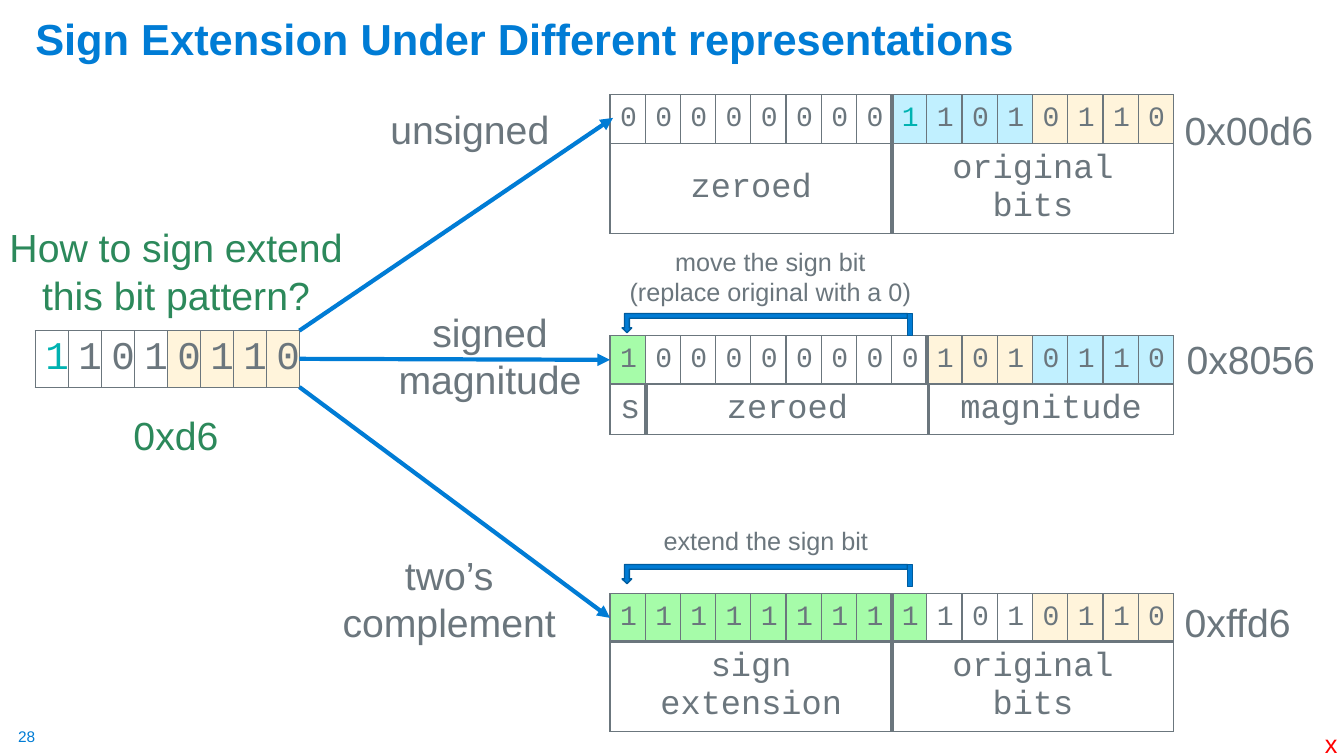
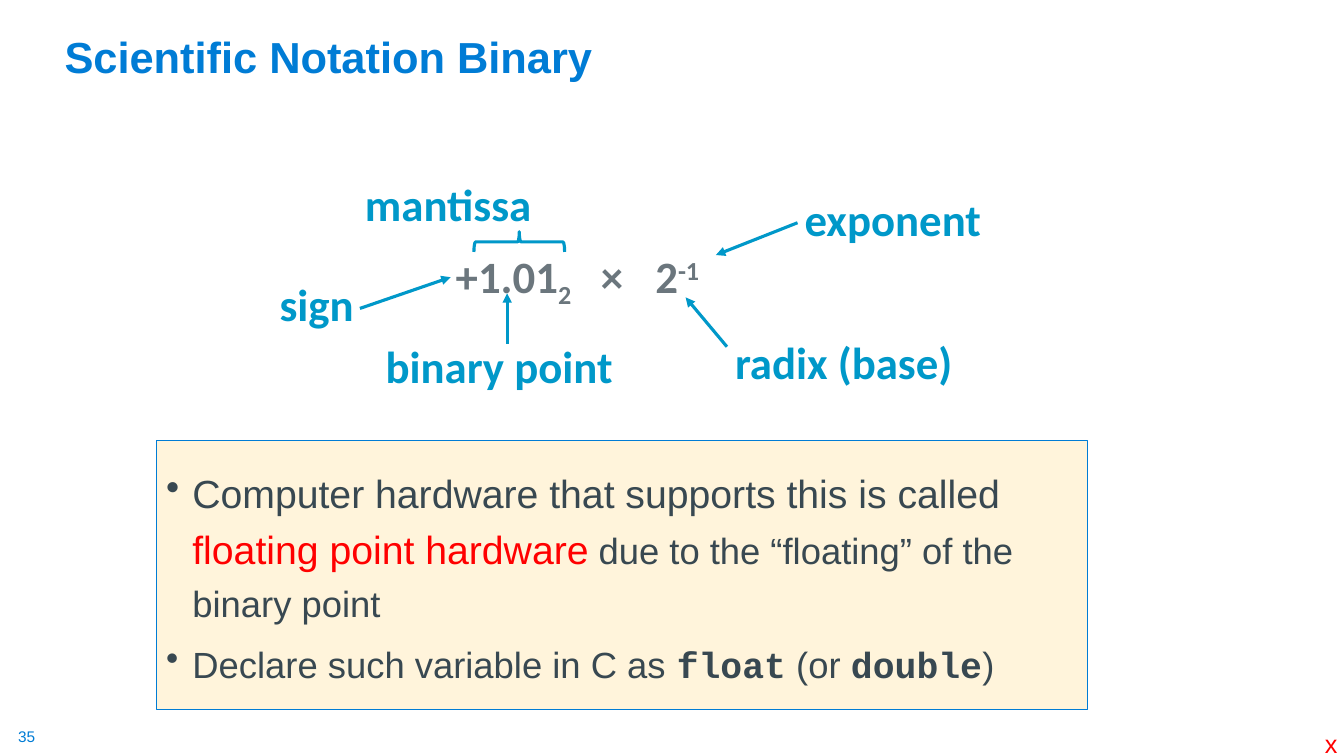
from lxml import etree
from pptx import Presentation
from pptx.dml.color import RGBColor
from pptx.enum.shapes import MSO_CONNECTOR, MSO_SHAPE
from pptx.enum.text import MSO_ANCHOR, MSO_AUTO_SIZE, PP_ALIGN
from pptx.oxml.ns import qn
from pptx.util import Inches, Pt

LEFT, CENTER, RIGHT = PP_ALIGN.LEFT, PP_ALIGN.CENTER, PP_ALIGN.RIGHT
TOP, MIDDLE, BOTTOM = MSO_ANCHOR.TOP, MSO_ANCHOR.MIDDLE, MSO_ANCHOR.BOTTOM
NO_AUTOFIT, GROW = MSO_AUTO_SIZE.NONE, MSO_AUTO_SIZE.SHAPE_TO_FIT_TEXT
RECTANGLE, LEFT_BRACE = MSO_SHAPE.RECTANGLE, MSO_SHAPE.LEFT_BRACE
BENT_ARROW = MSO_SHAPE.BENT_UP_ARROW
STRAIGHT = MSO_CONNECTOR.STRAIGHT

BLUE = RGBColor(0x00, 0x7C, 0xD5)
DARK_BLUE = RGBColor(0x00, 0x5C, 0x9E)
CYAN = RGBColor(0x00, 0x98, 0xC9)
TEAL = RGBColor(0x00, 0xB2, 0xB1)
GRAY = RGBColor(0x6B, 0x76, 0x7D)
SLATE = RGBColor(0x38, 0x48, 0x51)
GREEN = RGBColor(0x2C, 0x89, 0x5B)
RED = RGBColor(0xFF, 0x00, 0x00)
CREAM = RGBColor(0xFF, 0xF4, 0xDB)
PALE_BLUE = RGBColor(0xC1, 0xF0, 0xFF)
PALE_GREEN = RGBColor(0xA6, 0xFC, 0xA9)
MONO = "Courier New"


def write(paragraph, text, size=28, color=GRAY, font="Arial", bold=False, baseline=0):
    """Add one formatted run to a paragraph."""
    run = paragraph.add_run()
    run.text = text
    run.font.size = Pt(size)
    run.font.name = font
    run.font.bold = bold
    run.font.color.rgb = color
    if baseline:
        run.font._element.set("baseline", str(baseline * 1000))


def add_label(slide, box, text, align=LEFT, insets=(0.1, 0.05), wrap=False,
              spacing=1.0, **style):
    """Add a text box with one paragraph per line of text."""
    shape = slide.shapes.add_textbox(*map(Inches, box))
    frame = shape.text_frame
    frame.word_wrap = wrap
    frame.auto_size = GROW
    frame.margin_left = frame.margin_right = Inches(insets[0])
    frame.margin_top = frame.margin_bottom = Inches(insets[1])
    for index, line in enumerate(text.split("\n")):
        paragraph = frame.paragraphs[0] if index == 0 else frame.add_paragraph()
        paragraph.alignment = align
        paragraph.line_spacing = spacing
        write(paragraph, line, **style)
    return shape


presentation = Presentation()
presentation.slide_width = Inches(13.33)
presentation.slide_height = Inches(7.5)

# Titles, page numbers and corner marks
slides = []
for title_text, title_box, page_number in [
    ("Sign Extension Under Different representations", (0.25, 0.09, 12.66, 0.6), "28"),
    ("Scientific Notation Binary", (0.54, 0.09, 11.5, 0.78), "35"),
]:
    slide = presentation.slides.add_slide(presentation.slide_layouts[5])
    title = slide.shapes.title
    title.left, title.top, title.width, title.height = map(Inches, title_box)
    title.text_frame.auto_size = NO_AUTOFIT
    title.text_frame.vertical_anchor = BOTTOM
    paragraph = title.text_frame.paragraphs[0]
    paragraph.alignment = LEFT
    paragraph.line_spacing = 0.9
    write(paragraph, title_text, size=31, color=BLUE, bold=True)
    add_label(slide, (0.18, 7.21, 0.19, 0.19), page_number, insets=(0, 0),
              size=11, color=BLUE)
    add_label(slide, (13.14, 7.23, 0.14, 0.27), "x", insets=(0, 0), size=18, color=RED)
    slides.append(slide)
extension_slide, notation_slide = slides

# Bit patterns and the captions under them
FILLS = {"b": PALE_BLUE, "c": CREAM, "g": PALE_GREEN}
WORD_WIDTH = 5.59
BIT_WIDTHS = [WORD_WIDTH / 16] * 16
HALVES = [2.8, 2.79]
# left, top, row height, column widths, texts, fills, font size,
# columns that start with a thick line, teal column
tables = [
    (6.05, 0.94, 0.48, BIT_WIDTHS, "0000000011010110", "........bbbbcccc", 20, [8], 8),
    (6.05, 1.42, 0.86, HALVES, ["zeroed", "original bits"], "..", 24, [1], None),
    (6.05, 3.33, 0.48, BIT_WIDTHS, "1000000001010110", "g........cccbbbb", 20, [9], None),
    (6.05, 3.81, 0.49, [0.36, 2.8, 2.43], ["s", "zeroed", "magnitude"], "...", 24,
     [1, 2], None),
    (6.05, 5.89, 0.48, BIT_WIDTHS, "1111111111010110", "ggggggggg...cccc", 20, [8], None),
    (6.05, 6.36, 0.86, HALVES, ["sign extension", "original bits"], "..", 24, [1], None),
    (0.35, 3.28, 0.54, [2.62 / 8] * 8, "11010110", "....cccc", 28, [], 0),
]
for left, top, height, widths, texts, fills, size, thick, teal in tables:
    table = extension_slide.shapes.add_table(
        1, len(widths), Inches(left), Inches(top), Inches(sum(widths)), Inches(height)
    ).table
    table.first_row = table.horz_banding = False
    table.rows[0].height = Inches(height)
    for column, (width, text, fill) in enumerate(zip(widths, texts, fills)):
        table.columns[column].width = Inches(width)
        cell = table.cell(0, column)
        cell.vertical_anchor = MIDDLE
        paragraph = cell.text_frame.paragraphs[0]
        paragraph.alignment = CENTER
        write(paragraph, text, size=size, font=MONO,
              color=TEAL if column == teal else GRAY)
        # Borders come before the fill in the cell properties
        properties = cell._tc.get_or_add_tcPr()
        for side, is_thick in [("L", column in thick), ("R", column + 1 in thick),
                               ("T", False), ("B", False)]:
            border = etree.SubElement(properties, qn(f"a:ln{side}"),
                                      w=str(Pt(3 if is_thick else 1)))
            solid = etree.SubElement(border, qn("a:solidFill"))
            etree.SubElement(solid, qn("a:srgbClr"), val=str(GRAY))
        if fill in FILLS:
            cell.fill.solid()
            cell.fill.fore_color.rgb = FILLS[fill]
        else:
            cell.fill.background()

# Question, representation names and results
add_label(extension_slide, (0.02, 2.22, 3.45, 0.94), "How to sign extend this bit pattern?",
          align=CENTER, insets=(0, 0), wrap=True, color=GREEN)
add_label(extension_slide, (0.02, 4.08, 3.45, 0.47), "0xd6",
          align=CENTER, insets=(0, 0), wrap=True, color=GREEN)
for box, text, size in [
    ((3.76, 1, 1.8, 0.57), "unsigned", 28),
    ((3.84, 3.01, 2.04, 1.04), "signed\nmagnitude", 28),
    ((3.28, 5.42, 2.35, 1.04), "two’s\ncomplement", 28),
    ((11.64, 1.01, 1.49, 0.57), "0x00d6", 28),
    ((11.66, 3.28, 1.49, 0.57), "0x8056", 28),
    ((11.64, 5.89, 1.27, 0.57), "0xffd6", 28),
    ((6.13, 2.39, 3.02, 0.71), "move the sign bit\n(replace original with a 0)", 18),
    ((6.47, 5.16, 2.25, 0.4), "extend the sign bit", 18),
]:
    add_label(extension_slide, box, text, align=CENTER, size=size)

# Bent arrows from the old sign bit to the new one
for top in (3.11, 5.6):
    for kind, left, width, height, rotation in [(BENT_ARROW, 6.17, 2.83, 0.19, 180),
                                                (RECTANGLE, 9, 0.05, 0.22, 0)]:
        shape = extension_slide.shapes.add_shape(
            kind, Inches(left), Inches(top), Inches(width), Inches(height))
        shape.rotation = rotation
        shape.shadow.inherit = False
        shape.fill.solid()
        shape.fill.fore_color.rgb = BLUE
        shape.line.color.rgb = DARK_BLUE
        shape.line.width = Pt(1)

# Number in scientific notation with its named parts
NOTATION = dict(insets=(0.07, 0.03), spacing=0.85, size=32, font="Calibri", bold=True)
formula = add_label(notation_slide, (4.45, 2.47, 2.63, 0.52), "+1.01", wrap=True, **NOTATION)
paragraph = formula.text_frame.paragraphs[0]
tab_list = etree.SubElement(paragraph._p.get_or_add_pPr(), qn("a:tabLst"))
for position in (1.44, 1.98):
    etree.SubElement(tab_list, qn("a:tab"), pos=str(Inches(position)), algn="l")
for text, baseline in [("2", -25), ("\t×\t2", 0), ("-1", 30)]:
    write(paragraph, text, size=32, font="Calibri", bold=True, baseline=baseline)
for box, text, align in [
    ((3.55, 1.81, 1.81, 0.52), "mantissa", LEFT),
    ((7.91, 1.95, 1.91, 0.52), "exponent", LEFT),
    ((7.22, 3.37, 2.32, 0.52), "radix (base)", LEFT),
    ((3.74, 3.41, 2.41, 0.52), "binary point", RIGHT),
    ((2.7, 2.8, 0.88, 0.52), "sign", RIGHT),
]:
    add_label(notation_slide, box, text, align=align, color=CYAN, **NOTATION)

brace = notation_slide.shapes.add_shape(
    LEFT_BRACE, Inches(5.05), Inches(1.95), Inches(0.2), Inches(0.9))
brace.rotation = 90
brace.shadow.inherit = False
brace.fill.background()
brace.line.color.rgb = CYAN
brace.line.width = Pt(2.25)

# Arrows on both slides
for slide, color, width, arrows in [
    (extension_slide, BLUE, 3, [(2.97, 3.28, 6.08, 1.17), (2.97, 3.56, 6.05, 3.57),
                                (2.97, 3.84, 6.05, 6.13)]),
    (notation_slide, CYAN, 2.25, [(7.21, 3.44, 6.8, 2.95), (5.03, 3.41, 5.03, 2.91),
                                  (7.91, 2.21, 7.1, 2.53), (3.57, 3.06, 4.47, 2.75)]),
]:
    for ends in arrows:
        connector = slide.shapes.add_connector(STRAIGHT, *map(Inches, ends))
        connector.line.color.rgb = color
        connector.line.width = Pt(width)
        properties = connector._element.spPr
        etree.SubElement(properties.find(qn("a:ln")), qn("a:tailEnd"), type="triangle")
        etree.SubElement(properties, qn("a:effectLst"))

# Panel about floating point
panel = notation_slide.shapes.add_shape(
    RECTANGLE, Inches(1.55), Inches(4.37), Inches(9.24), Inches(2.67))
panel.shadow.inherit = False
panel.fill.solid()
panel.fill.fore_color.rgb = CREAM
panel.line.color.rgb = BLUE
panel.line.width = Pt(0.75)
frame = panel.text_frame
frame.word_wrap = True
frame.vertical_anchor = TOP
frame.margin_top = Inches(0.19)
CODE = dict(size=26, color=SLATE, font=MONO, bold=True)
PLAIN = dict(size=26, color=SLATE)
for index, (spacing, runs) in enumerate([
    (1.2, [("Computer hardware that supports this is called ", dict(color=SLATE)),
           ("floating point hardware", dict(color=RED)),
           (" due to the “floating” of the binary point", PLAIN)]),
    (0.7, [("Declare such variable in C as ", PLAIN), ("float", CODE), (" (or ", PLAIN),
           ("double", CODE), (")", PLAIN)]),
]):
    paragraph = frame.paragraphs[0] if index == 0 else frame.add_paragraph()
    paragraph.alignment = LEFT
    paragraph.line_spacing = spacing
    if index:
        paragraph.space_before = Pt(21)
    properties = paragraph._p.get_or_add_pPr()
    properties.set("marL", str(Inches(0.26)))
    properties.set("indent", str(-Inches(0.26)))
    etree.SubElement(properties, qn("a:buChar"), char="•")
    for text, style in runs:
        write(paragraph, text, **style)

presentation.save("out.pptx")
